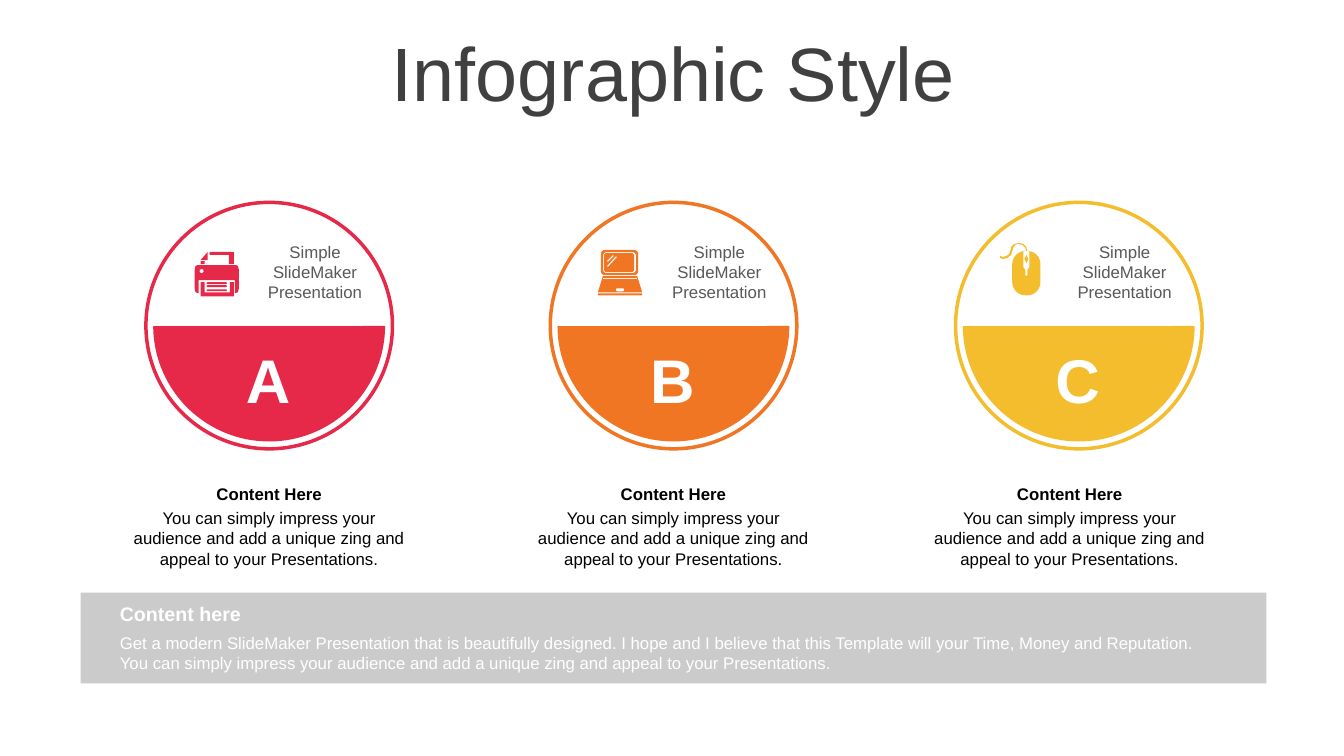
"""Build the three-circle infographic slide."""
from dataclasses import dataclass
from math import cos, pi, sin

from pptx import Presentation
from pptx.dml.color import RGBColor
from pptx.enum.shapes import MSO_SHAPE
from pptx.enum.text import MSO_ANCHOR, PP_ALIGN
from pptx.shapes.autoshape import Shape
from pptx.slide import Slide
from pptx.util import Inches, Pt

Contour = list[tuple[float, float]]


@dataclass(frozen=True)
class Area:
    left: float
    top: float
    width: float
    height: float


@dataclass(frozen=True)
class Style:
    size: int
    color: str
    bold: bool = False
    align: PP_ALIGN = PP_ALIGN.CENTER
    anchor: MSO_ANCHOR = MSO_ANCHOR.TOP
    line_spacing: float = 1.0


@dataclass(frozen=True)
class Topic:
    letter: str
    color: str
    left: float
    caption_left: float
    icon: list[Contour]


def rounded(left: float, top: float, right: float, bottom: float, radius: float) -> Contour:
    """Return the outline of a rounded rectangle."""
    corners = [(right - radius, bottom - radius), (left + radius, bottom - radius),
               (left + radius, top + radius), (right - radius, top + radius)]
    return [(x + radius * cos(angle), y + radius * sin(angle))
            for quarter, (x, y) in enumerate(corners)
            for angle in (pi / 2 * (quarter + step / 6) for step in range(7))]


def rectangle(left: float, top: float, right: float, bottom: float) -> Contour:
    """Return the outline of a plain rectangle."""
    return [(left, top), (right, top), (right, bottom), (left, bottom)]


PRINTER = [
    [(1.96, 2.63), (2.34, 2.63), (2.36, 2.64), (2.37, 2.68), (2.37, 2.86), (2.36, 2.9),
     (2.33, 2.91), (2.33, 2.78), (1.97, 2.78), (1.97, 2.91), (1.94, 2.9), (1.93, 2.86),
     (1.93, 2.68), (1.94, 2.64)],
    rounded(1.98, 2.67, 2.02, 2.71, 0.02),
    [(1.99, 2.8), (2.03, 2.8), (2.03, 2.9), (2.28, 2.9), (2.28, 2.8), (2.32, 2.8),
     (2.32, 2.94), (1.99, 2.94)],
    *[rounded(2.05, top, 2.25, top + 0.02, 0.01) for top in (2.8, 2.83, 2.87)],
    rectangle(1.99, 2.59, 2.03, 2.62),
    [(2.06, 2.5), (1.99, 2.58), (2.06, 2.58)],
    [(2.08, 2.5), (2.32, 2.5), (2.32, 2.62), (2.27, 2.62), (2.27, 2.53), (2.08, 2.53)],
]
LAPTOP = [
    rounded(5.96, 2.48, 6.33, 2.73, 0.04),
    rounded(5.98, 2.5, 6.31, 2.71, 0.04),
    rounded(5.99, 2.51, 6.29, 2.7, 0.03),
    [(6.02, 2.59), (6.08, 2.53), (6.09, 2.54), (6.03, 2.6)],
    [(6.02, 2.64), (6.11, 2.54), (6.12, 2.55), (6.03, 2.65)],
    [(5.98, 2.74), (6.32, 2.74), (6.37, 2.9), (5.93, 2.9)],
    rectangle(5.98, 2.76, 6.32, 2.77),
    rounded(6.11, 2.86, 6.19, 2.89, 0.01),
    rectangle(5.93, 2.91, 6.37, 2.93),
]
MOUSE = [
    rounded(10.04, 2.49, 10.32, 2.93, 0.13),
    [(10.15, 2.49), (10.21, 2.49), (10.21, 2.65), (10.19, 2.68), (10.19, 2.73),
     (10.18, 2.74), (10.17, 2.73), (10.17, 2.68), (10.15, 2.65)],
    [(10.18, 2.53), (10.2, 2.57), (10.18, 2.61), (10.16, 2.57)],
    [(9.92, 2.54), (9.95, 2.55), (9.98, 2.54), (10.01, 2.52), (10.02, 2.49), (10.03, 2.45),
     (10.06, 2.42), (10.11, 2.41), (10.15, 2.42), (10.18, 2.45), (10.19, 2.49),
     (10.18, 2.49), (10.17, 2.46), (10.14, 2.43), (10.1, 2.42), (10.07, 2.43),
     (10.05, 2.46), (10.04, 2.49), (10.03, 2.53), (9.99, 2.56), (9.95, 2.57), (9.92, 2.56)],
]
TOPICS = [
    Topic("A", "E62949", 1.43, 1.22, PRINTER),
    Topic("B", "F07624", 5.44, 5.23, LAPTOP),
    Topic("C", "F4BD2D", 9.46, 9.16, MOUSE),
]
TITLE = Style(54, "404040", anchor=MSO_ANCHOR.MIDDLE, line_spacing=0.9)
LETTER = Style(44, "FFFFFF", bold=True, anchor=MSO_ANCHOR.MIDDLE)
LABEL = Style(12, "595959")
HEADING = Style(12, "000000", bold=True)
BODY = Style(12, "000000")
BANNER_HEADING = Style(14, "FFFFFF", bold=True, align=PP_ALIGN.LEFT, anchor=MSO_ANCHOR.MIDDLE)
BANNER_BODY = Style(12, "FFFFFF", align=PP_ALIGN.LEFT)
PITCH = "You can simply impress your audience and add a unique zing and appeal to your Presentations."


def rgb(color: str) -> RGBColor:
    """Turn a hex string into a colour."""
    return RGBColor.from_string(color)


def paint(shape: Shape, color: str) -> None:
    """Give a shape a flat fill without line or shadow."""
    shape.shadow.inherit = False
    shape.fill.solid()
    shape.fill.fore_color.rgb = rgb(color)
    shape.line.fill.background()


def add_text(page: Slide, area: Area, text: str, style: Style) -> None:
    """Add a wrapped text box with one paragraph."""
    box = page.shapes.add_textbox(Inches(area.left), Inches(area.top),
                                  Inches(area.width), Inches(area.height))
    frame = box.text_frame
    frame.word_wrap = True
    frame.vertical_anchor = style.anchor
    paragraph = frame.paragraphs[0]
    paragraph.text = text
    paragraph.alignment = style.align
    paragraph.line_spacing = style.line_spacing
    font = paragraph.font
    font.name, font.size, font.bold = "Arial", Pt(style.size), style.bold
    font.color.rgb = rgb(style.color)


def add_preset(page: Slide, kind: MSO_SHAPE, area: Area, color: str,
               adjustments: tuple[float, ...] = ()) -> None:
    """Add a filled preset shape."""
    shape = page.shapes.add_shape(kind, Inches(area.left), Inches(area.top),
                                  Inches(area.width), Inches(area.height))
    for index, value in enumerate(adjustments):
        shape.adjustments[index] = value
    paint(shape, color)


def add_icon(page: Slide, contours: list[Contour], color: str) -> None:
    """Draw all contours of an icon as one outline."""
    outlines = [[(Inches(x), Inches(y)) for x, y in contour] for contour in contours]
    builder = page.shapes.build_freeform(*outlines[0][0])
    for index, outline in enumerate(outlines):
        if index:
            builder.move_to(*outline[0])
        builder.add_line_segments(outline[1:], close=True)
    paint(builder.convert_to_shape(), color)


def add_topic(page: Slide, topic: Topic) -> None:
    """Draw one circle with its icon, letter and caption."""
    left, caption_left = topic.left, topic.caption_left
    add_preset(page, MSO_SHAPE.CHORD, Area(left + 0.09, 2.08, 2.3, 2.3), topic.color,
               (0.134, 107.786))
    add_preset(page, MSO_SHAPE.DONUT, Area(left, 1.99, 2.48, 2.48), topic.color, (0.014,))
    add_icon(page, topic.icon, topic.color)
    add_text(page, Area(left + 0.85, 3.34, 0.76, 0.84), topic.letter, LETTER)
    add_text(page, Area(left + 1.09, 2.35, 1.21, 0.71), "Simple SlideMaker Presentation", LABEL)
    add_text(page, Area(caption_left, 4.75, 2.9, 0.3), "Content Here", HEADING)
    add_text(page, Area(caption_left, 4.99, 2.9, 0.71), PITCH, BODY)


def main() -> None:
    """Build and save the deck."""
    deck = Presentation()
    deck.slide_width, deck.slide_height = Inches(13.33), Inches(7.5)
    page = deck.slides.add_slide(deck.slide_layouts[6])
    add_text(page, Area(0.35, 0.37, 12.66, 0.79), "Infographic Style", TITLE)
    for topic in TOPICS:
        add_topic(page, topic)
    add_preset(page, MSO_SHAPE.RECTANGLE, Area(0.8, 5.88, 11.76, 0.9), "CBCBCB")
    add_text(page, Area(1.09, 5.92, 11.18, 0.34), "Content here", BANNER_HEADING)
    add_text(page, Area(1.09, 6.23, 11.18, 0.5),
             "Get a modern SlideMaker Presentation that is beautifully designed. I hope and I "
             f"believe that this Template will your Time, Money and Reputation. {PITCH}",
             BANNER_BODY)
    deck.save("out.pptx")


if __name__ == "__main__":
    main()
